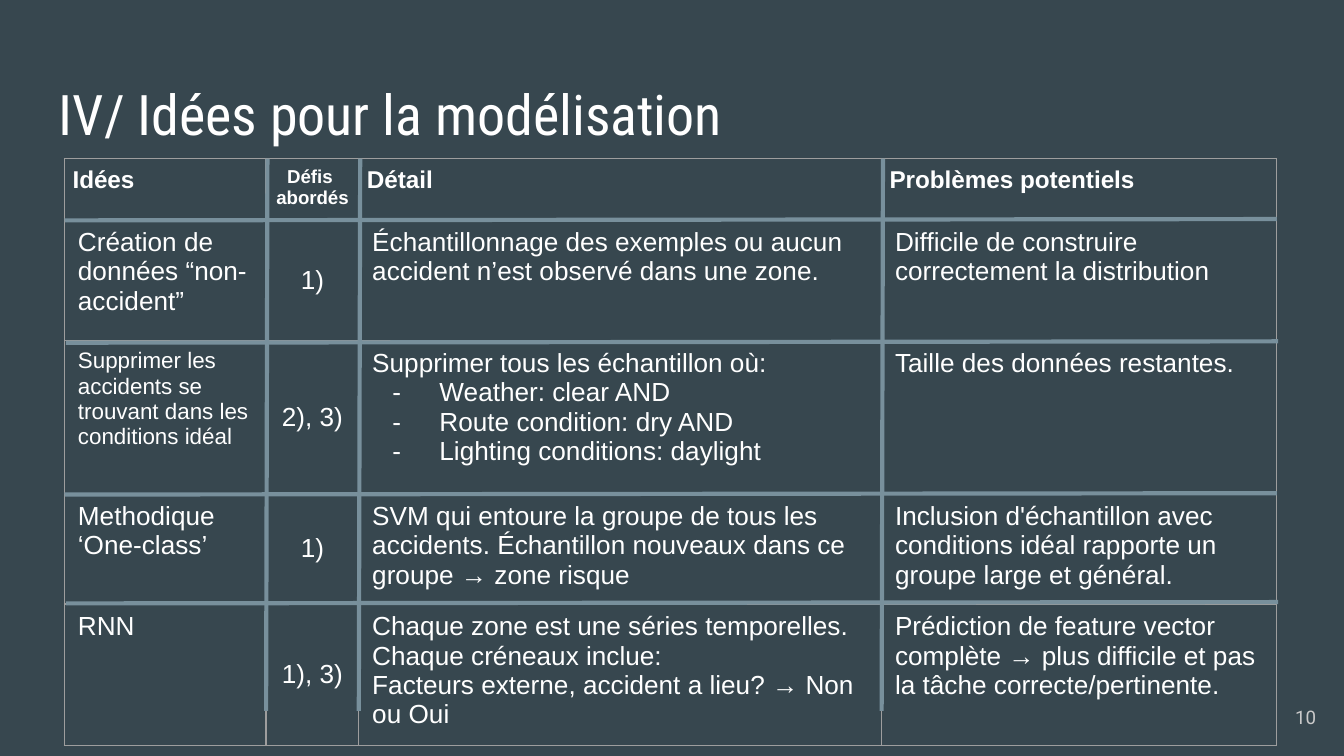
from itertools import accumulate

from lxml import etree
from pptx import Presentation
from pptx.dml.color import RGBColor
from pptx.enum.shapes import MSO_CONNECTOR
from pptx.enum.text import MSO_ANCHOR, PP_ALIGN
from pptx.oxml.ns import qn
from pptx.util import Inches, Pt

LEFT, CENTER, RIGHT = PP_ALIGN.LEFT, PP_ALIGN.CENTER, PP_ALIGN.RIGHT
TOP, MIDDLE = MSO_ANCHOR.TOP, MSO_ANCHOR.MIDDLE
LINE = MSO_CONNECTOR.STRAIGHT

THEME = {
    "back": "37474F", "text": "FFFFFF", "page": "CACACA",
    "grid": "9E9E9E", "rule": "78909C",
    "title": 30, "head": 13, "body": 14, "small": 12, "tiny": 10,
    "font": "Arial", "heading": "Roboto Condensed", "number": "Roboto",
}
COLS = [1.5, 0.69, 3.89, 2.94]
ROWS = [0.34, 0.9, 1.14, 0.67, 0.44]
X, Y, SIDE = 0.48, 1.18, 3.28
RULES = [1.64, 2.55, 3.68, 4.49]
BOTTOM = 5.29

# A leading "- " marks a bulleted paragraph.
CELLS = [
    ["Idées", "Défis \nabordés", "Détail", "Problèmes potentiels"],
    ["Création de données “non-accident”", "1)",
     "Échantillonnage des exemples ou aucun accident n’est observé dans une zone.",
     "Difficile de construire correctement la distribution"],
    ["Supprimer les accidents se trouvant dans les conditions idéal", "2), 3) ",
     "Supprimer tous les échantillon où:\n- Weather: clear AND\n"
     "- Route condition: dry AND\n- Lighting conditions: daylight",
     "Taille des données restantes."],
    ["Methodique ‘One-class’", "1)",
     "SVM qui entoure la groupe de tous les accidents. "
     "Échantillon nouveaux dans ce groupe → zone risque",
     "Inclusion d'échantillon avec conditions idéal rapporte un groupe large et général."],
    ["RNN", "1), 3)",
     "Chaque zone est une séries temporelles. Chaque créneaux inclue:\n"
     "Facteurs externe, accident a lieu? → Non ou Oui",
     "Prédiction de feature vector complète → plus difficile et pas "
     "la tâche correcte/pertinente."],
]
SIZES = {(0, 1): THEME["tiny"], (2, 0): THEME["small"]}


def write(frame, text, size, font, color, align=LEFT, bold=False):
    """Fill a text frame, one paragraph a line, with bullets where marked."""
    frame.word_wrap = True
    frame.text = text
    for para in frame.paragraphs:
        para.alignment = align
        para.font.size = Pt(size)
        para.font.name = font
        para.font.bold = bold
        para.font.color.rgb = RGBColor.from_string(color)
        if para.text.startswith("- "):
            para.runs[0].text = para.text[2:]
            props = para._p.get_or_add_pPr()
            props.set("marL", str(Inches(0.5)))
            props.set("indent", str(Inches(-0.35)))
            tint = etree.Element(qn("a:buClr"))
            etree.SubElement(tint, qn("a:srgbClr"), val=color)
            face = etree.Element(qn("a:buFont"), typeface=font)
            mark = etree.Element(qn("a:buChar"), char="-")
            for i, part in enumerate((tint, face, mark)):
                props.insert(i, part)


def border(cell):
    """Draw the four thin edges of a cell."""
    props = cell._tc.get_or_add_tcPr()
    for i, side in enumerate(("lnL", "lnR", "lnT", "lnB")):
        edge = etree.Element(qn("a:" + side), w=str(Pt(0.75)))
        fill = etree.SubElement(edge, qn("a:solidFill"))
        etree.SubElement(fill, qn("a:srgbClr"), val=THEME["grid"])
        props.insert(i, edge)


deck = Presentation()
deck.slide_width, deck.slide_height = Inches(10), Inches(10 * 9 / 16)
slide = deck.slides.add_slide(deck.slide_layouts[6])
slide.background.fill.solid()
slide.background.fill.fore_color.rgb = RGBColor.from_string(THEME["back"])

# Title and page number
LABELS = [
    ("IV/ Idées pour la modélisation", (0.34, 0.49, 9.32, 0.63),
     "title", "heading", "text", LEFT, TOP),
    ("10", (9.29, 5.12, 0.6, 0.43), "tiny", "number", "page", RIGHT, MIDDLE),
]
for text, place, size, font, color, align, anchor in LABELS:
    frame = slide.shapes.add_textbox(*map(Inches, place)).text_frame
    frame.margin_left = frame.margin_right = Inches(0.1)
    frame.margin_top = frame.margin_bottom = Inches(0.1)
    frame.vertical_anchor = anchor
    write(frame, text, THEME[size], THEME[font], THEME[color], align)

# Table: rows grow with their text, so the frame starts small
holder = slide.shapes.add_table(
    len(ROWS), len(COLS), Inches(X), Inches(Y), Inches(SIDE), Inches(SIDE))
table = holder.table
table.first_row = table.horz_banding = False
for col, width in zip(table.columns, COLS):
    col.width = Inches(width)
for row, height in zip(table.rows, ROWS):
    row.height = Inches(height)
holder.width = holder.height = Inches(SIDE)
for r, texts in enumerate(CELLS):
    for c, text in enumerate(texts):
        cell, head = table.cell(r, c), r == 0
        cell.fill.background()
        border(cell)
        cell.margin_left = cell.margin_right = Inches(0.06 if head else 0.1)
        cell.margin_top = cell.margin_bottom = Inches(0.06)
        cell.vertical_anchor = MIDDLE if c == 1 and not head else TOP
        size = SIZES.get((r, c), THEME["head" if head else "body"])
        write(cell.text_frame, text, size, THEME["font"], THEME["text"],
              CENTER if c == 1 else LEFT, head)

# Thick rules, each with a slight slant; every other row rule sits a touch right
edges = [X + step for step in accumulate(COLS)]
ends = []
for i, y in enumerate(RULES):
    shift = 0.01 * (i % 2)
    ends.append((X + shift, y, edges[-1] + shift, y - 0.01))
ends += [(x + 0.01, Y, x, BOTTOM) for x in edges[:-1]]
for end in ends:
    rule = slide.shapes.add_connector(LINE, *map(Inches, end))
    rule.line.width = Pt(2.25)
    rule.line.color.rgb = RGBColor.from_string(THEME["rule"])
    etree.SubElement(rule._element.spPr, qn("a:effectLst"))

deck.save("out.pptx")
